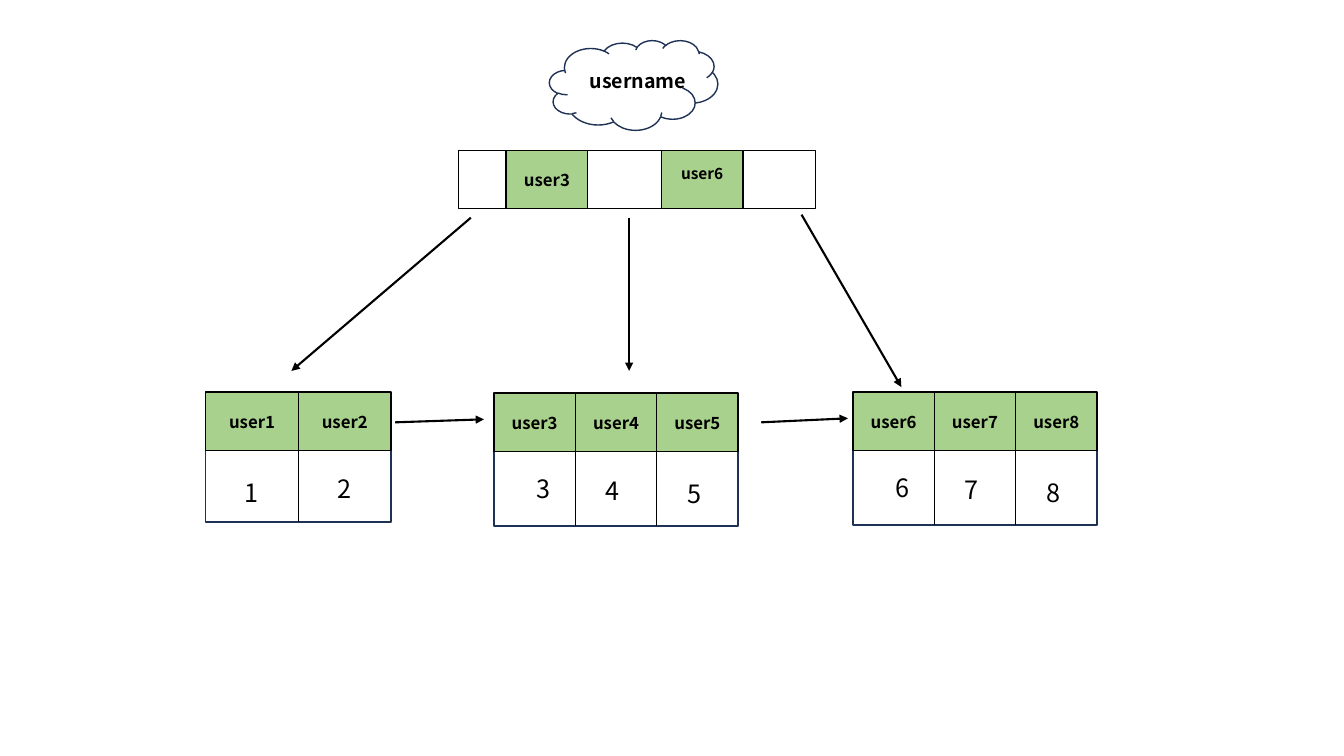
from lxml.etree import SubElement
from pptx import Presentation
from pptx.dml.color import RGBColor
from pptx.enum.shapes import MSO_CONNECTOR as Connector, MSO_SHAPE as Preset
from pptx.enum.text import MSO_ANCHOR as Anchor, MSO_AUTO_SIZE as AutoSize, PP_ALIGN as Align
from pptx.oxml.ns import qn
from pptx.util import Inches, Pt

FONT = "Noto Sans CJK SC"
BLACK, NAVY, GREEN = "000000", "1E3256", "A9D18E"
COLUMNS, ROWS = 133.3, 75
UNIT = Inches(0.1)
KEY_HEIGHT = 5.8


def color(value):
    return RGBColor.from_string(value)


def grid(*counts):
    return [round(count * UNIT) for count in counts]


def add_run(frame, text, size, bold, align):
    para = frame.paragraphs[0]
    para.alignment = align
    span = para.add_run()
    span.text = text
    span.font.name = FONT
    span.font.size = Pt(size)
    span.font.bold = bold
    span.font.color.rgb = color(BLACK)


def add_outline(shapes, preset, place, line=BLACK, fill=None):
    box = shapes.add_shape(preset, *grid(*place))
    box.shadow.inherit = False
    if fill:
        box.fill.solid()
        box.fill.fore_color.rgb = color(fill)
    else:
        box.fill.background()
    box.line.color.rgb = color(line)
    box.line.width = Pt(1)
    return box


def add_key(shapes, left, top, width, text=None):
    place = left, top, width, KEY_HEIGHT
    box = add_outline(shapes, Preset.RECTANGLE, place, fill=GREEN)
    if text:
        box.text_frame.vertical_anchor = Anchor.MIDDLE
        add_run(box.text_frame, text, 12, True, Align.CENTER)


def add_label(shapes, text, place, size, bold=False, align=Align.LEFT, wrap=True):
    box = shapes.add_textbox(*grid(*place))
    box.text_frame.word_wrap = wrap
    box.text_frame.auto_size = AutoSize.SHAPE_TO_FIT_TEXT
    add_run(box.text_frame, text, size, bold, align)


def add_line(shapes, start, end, width=1, arrow=False):
    link = shapes.add_connector(Connector.STRAIGHT, *grid(*start, *end))
    link.line.color.rgb = color(BLACK)
    link.line.width = Pt(width)
    if arrow:
        SubElement(link.line._get_or_add_ln(), qn("a:tailEnd"), type="triangle")
    SubElement(link._element.spPr, qn("a:effectLst"))


def add_cloud(page):
    shapes = page.shapes.add_group_shape().shapes
    add_outline(shapes, Preset.CLOUD, (54.5, 4, 16.7, 8.9), NAVY)
    add_label(shapes, "username", (57.5, 6.3, 11.7, 3.4), 14, True)


def add_root(page):
    shapes = page.shapes.add_group_shape().shapes
    top, width = 14.9, 8.1
    add_outline(shapes, Preset.RECTANGLE, (45.5, top, 35.4, KEY_HEIGHT))
    add_key(shapes, 50.2, top, width, "user3")
    add_key(shapes, 65.6, top, width)
    add_label(shapes, "user6", (65.6, 15.8, width, 2.9), 11, True, Align.CENTER)


def add_leaf(page, left, top, width, height, first, nudges):
    shapes = page.shapes.add_group_shape().shapes
    step = width / len(nudges)
    middle = top + KEY_HEIGHT
    add_outline(shapes, Preset.RECTANGLE, (left, middle, width, height), NAVY)
    for index, (right, down) in enumerate(nudges):
        edge = left + index * step
        number = first + index
        add_key(shapes, edge, top, step, f"user{number}")
        place = edge + right, top + down, 3.4, 4
        add_label(shapes, str(number), place, 18, wrap=False)
        if index:
            add_line(shapes, (edge, middle), (edge, middle + height))


def main():
    deck = Presentation()
    deck.slide_width, deck.slide_height = grid(COLUMNS, ROWS)
    page = deck.slides.add_slide(deck.slide_layouts[6])

    add_cloud(page)
    add_root(page)
    pair = [(2.9, 8), (2.9, 7.6)]
    triple = [(3.2, 7.5), (2, 7.7), (2.1, 8)]
    add_leaf(page, 20.4, 38.9, 18.4, 7.1, 1, pair)
    add_leaf(page, 49, 39, 24.2, 7.4, 3, triple)
    add_leaf(page, 84.6, 38.9, 24.2, 7.4, 6, triple)

    arrows = [
        ((46.7, 21.6), (28.9, 36.8)),
        ((62.4, 21.6), (62.4, 36.8)),
        ((79.5, 21.3), (89.4, 38.4)),
        ((39.2, 41.9), (48, 41.6)),
        ((75.5, 41.9), (84.1, 41.5)),
    ]
    for start, end in arrows:
        add_line(page.shapes, start, end, 1.5, arrow=True)

    deck.save("out.pptx")


if __name__ == "__main__":
    main()
